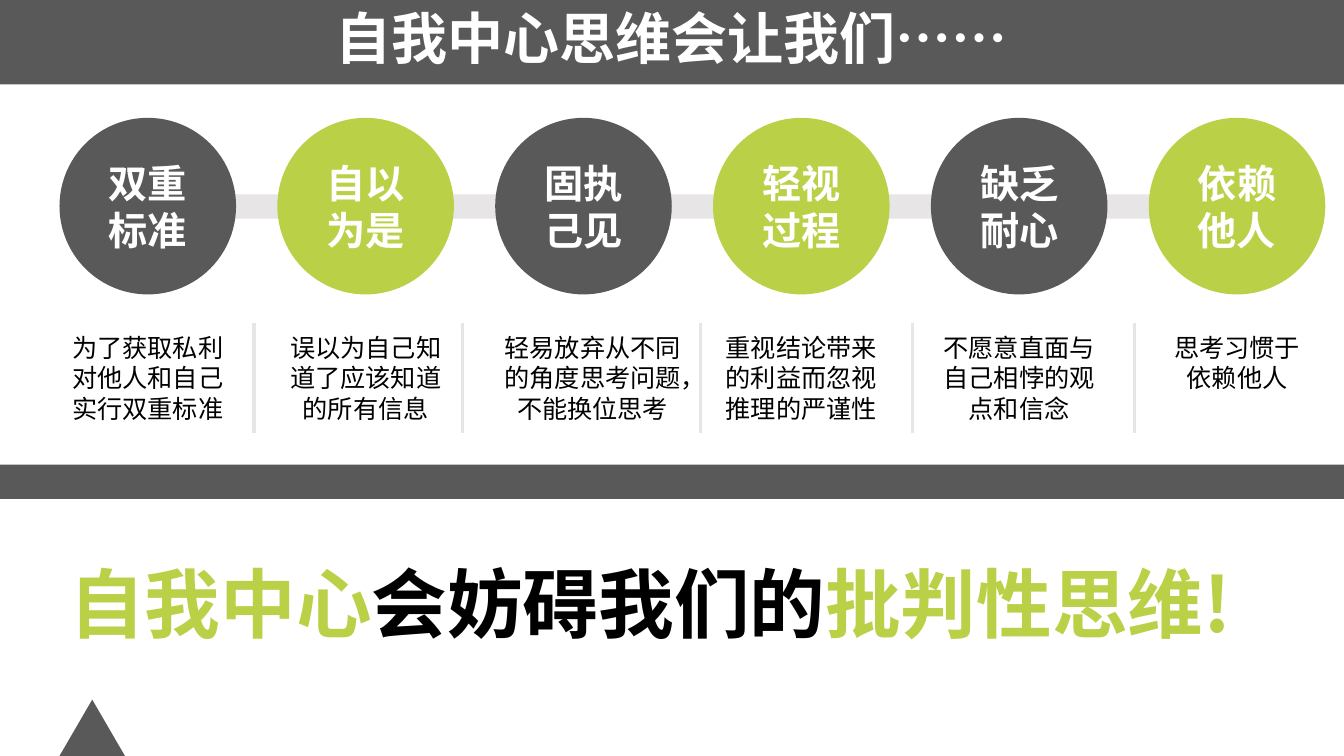
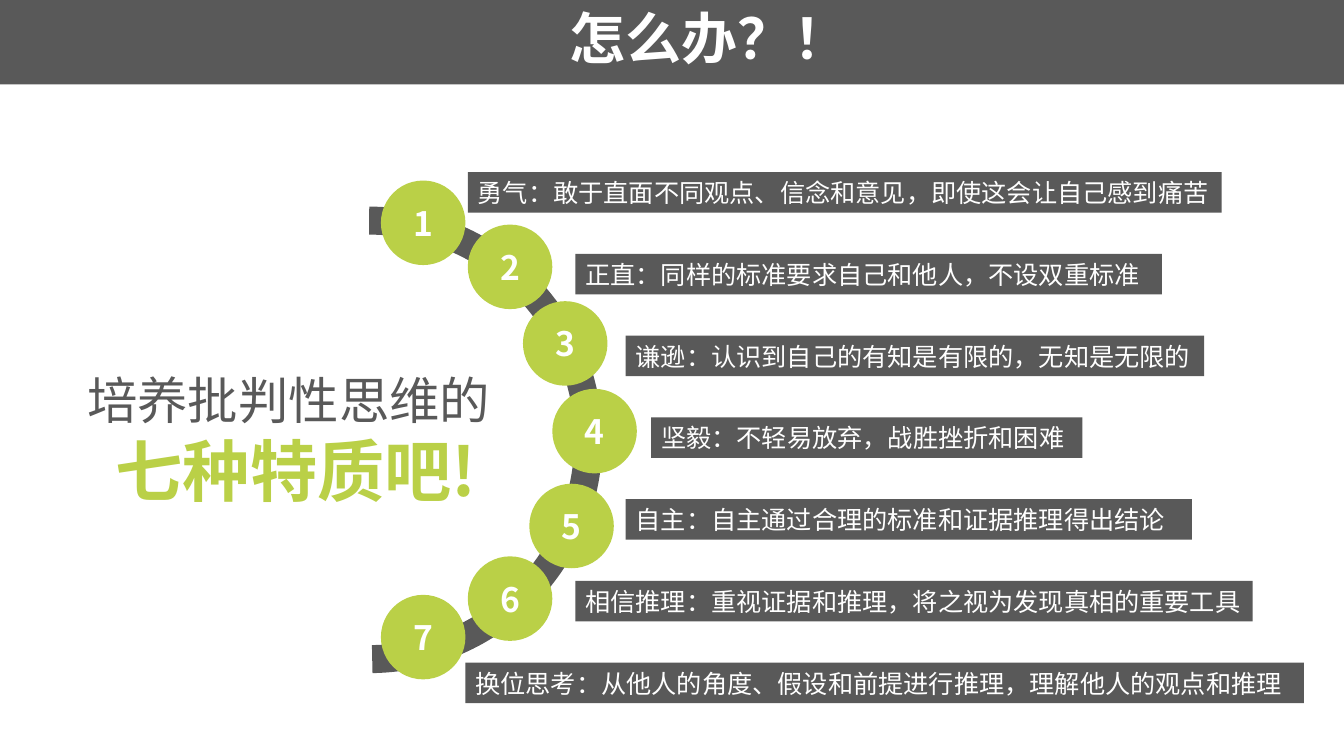
from dataclasses import dataclass
from typing import Optional

from lxml.etree import SubElement
from pptx import Presentation
from pptx.dml.color import RGBColor
from pptx.enum.shapes import MSO_CONNECTOR, MSO_SHAPE
from pptx.enum.text import MSO_ANCHOR, PP_ALIGN
from pptx.oxml.ns import qn
from pptx.shapes.autoshape import Shape
from pptx.slide import Slide
from pptx.text.text import TextFrame
from pptx.util import Cm, Pt


@dataclass(frozen=True)
class Theme:
    font: str = "Noto Sans CJK SC"
    dark: RGBColor = RGBColor(0x59, 0x59, 0x59)
    green: RGBColor = RGBColor(0xBA, 0xD0, 0x47)
    pale: RGBColor = RGBColor(0xE7, 0xE5, 0xE6)
    white: RGBColor = RGBColor(0xFF, 0xFF, 0xFF)
    black: RGBColor = RGBColor(0, 0, 0)
    body: int = 18
    number: int = 24
    circle: int = 28
    lead: int = 36
    title: int = 40
    emphasis: int = 48
    conclusion: int = 54


THEME = Theme()
SLIDE_WIDTH = 33.87
SLIDE_HEIGHT = 19.05


@dataclass(frozen=True)
class Box:
    left: float
    top: float
    width: float
    height: float

    def lengths(self) -> tuple[Cm, Cm, Cm, Cm]:
        return Cm(self.left), Cm(self.top), Cm(self.width), Cm(self.height)


@dataclass(frozen=True)
class TextStyle:
    size: int
    color: RGBColor
    bold: bool = False
    align: PP_ALIGN = PP_ALIGN.CENTER
    indent: float = 0
    line_spacing: Optional[float] = None


@dataclass(frozen=True)
class Span:
    text: str
    color: Optional[RGBColor] = None


@dataclass(frozen=True)
class Line:
    spans: list[Span]
    style: TextStyle


@dataclass(frozen=True)
class Effect:
    name: str
    caption: str
    caption_width: float
    caption_shift: float = 0
    divider: Optional[float] = None


@dataclass(frozen=True)
class Trait:
    text: str
    circle_left: float
    circle_top: float
    bar_left: float
    bar_width: float


EFFECTS = [
    Effect("双重标准", "为了获取私利对他人和自己实行双重标准", 4.45, divider=6.4),
    Effect("自以为是", "误以为自己知道了应该知道的所有信息", 4.6, divider=11.66),
    Effect("固执己见", "轻易放弃从不同的角度思考问题，不能换位思考", 5.23, 0.23, 17.65),
    Effect("轻视过程", "重视结论带来的利益而忽视推理的严谨性", 4.67, divider=22.99),
    Effect("缺乏耐心", "不愿意直面与自己相悖的观点和信念", 4.52, divider=28.6),
    Effect("依赖他人", "思考习惯于依赖他人", 3.84),
]

TRAITS = [
    Trait("勇气：敢于直面不同观点、信念和意见，即使这会让自己感到痛苦", 9.6, 4.55, 11.79, 19),
    Trait("正直：同样的标准要求自己和他人，不设双重标准", 11.79, 5.66, 14.5, 14.78),
    Trait("谦逊：认识到自己的有知是有限的，无知是无限的", 13.18, 7.59, 15.77, 14.58),
    Trait("坚毅：不轻易放弃，战胜挫折和困难", 13.92, 9.8, 16.41, 10.87),
    Trait("自主：自主通过合理的标准和证据推理得出结论", 13.34, 12.19, 15.77, 14.27),
    Trait("相信推理：重视证据和推理，将之视为发现真相的重要工具", 11.79, 14.02, 14.5, 17.07),
    Trait("换位思考：从他人的角度、假设和前提进行推理，理解他人的观点和推理", 9.6, 14.99, 11.73, 21.13),
]


def write_lines(frame: TextFrame, lines: list[Line], anchor: MSO_ANCHOR) -> None:
    frame.word_wrap = True
    frame.vertical_anchor = anchor
    for index, line in enumerate(lines):
        paragraph = frame.add_paragraph() if index else frame.paragraphs[0]
        style = line.style
        paragraph.alignment = style.align
        if style.line_spacing:
            paragraph.line_spacing = style.line_spacing
        properties = paragraph._p.get_or_add_pPr()
        if style.indent:
            properties.set("marL", str(int(Cm(style.indent))))
            properties.set("indent", "0")
        paragraph.font.size = Pt(style.size)
        paragraph.font.bold = style.bold
        paragraph.font.color.rgb = style.color
        paragraph.font.name = THEME.font
        defaults = properties.find(qn("a:defRPr"))
        SubElement(defaults, qn("a:ea")).set("typeface", THEME.font)
        for span in line.spans:
            run = paragraph.add_run()
            run.text = span.text
            if span.color is not None:
                run.font.color.rgb = span.color


def add_text(slide: Slide, box: Box, lines: list[Line],
             anchor: MSO_ANCHOR = MSO_ANCHOR.TOP) -> None:
    text_box = slide.shapes.add_textbox(*box.lengths())
    write_lines(text_box.text_frame, lines, anchor)


def add_solid(slide: Slide, kind: MSO_SHAPE, box: Box, color: RGBColor,
              text: str = "", style: Optional[TextStyle] = None) -> Shape:
    shape = slide.shapes.add_shape(kind, *box.lengths())
    shape.shadow.inherit = False
    shape.fill.solid()
    shape.fill.fore_color.rgb = color
    shape.line.fill.background()
    if style:
        write_lines(shape.text_frame, [Line([Span(text)], style)], MSO_ANCHOR.MIDDLE)
    return shape


def add_divider(slide: Slide, left: float, top: float, bottom: float) -> None:
    divider = slide.shapes.add_connector(
        MSO_CONNECTOR.STRAIGHT, Cm(left), Cm(top), Cm(left), Cm(bottom))
    divider.line.color.rgb = THEME.pale
    divider.line.width = Pt(2.25)
    SubElement(divider._element.spPr, qn("a:effectLst"))


def add_titled_slide(presentation: Presentation, title: str, indent: float = 0) -> Slide:
    slide = presentation.slides.add_slide(presentation.slide_layouts[6])
    add_solid(slide, MSO_SHAPE.RECTANGLE, Box(0, 0, SLIDE_WIDTH, 2.13), THEME.dark)
    style = TextStyle(THEME.title, THEME.white, True, indent=indent, line_spacing=0.9)
    add_text(slide, Box(7.16, 0.13, 19.53, 1.8), [Line([Span(title)], style)],
             MSO_ANCHOR.BOTTOM)
    return slide


def build_effects_slide(presentation: Presentation) -> None:
    slide = add_titled_slide(presentation, "自我中心思维会让我们……")
    margin, diameter, pitch = 1.5, 4.45, 5.49
    add_solid(slide, MSO_SHAPE.ROUNDED_RECTANGLE, Box(3.71, 4.9, 27.94, 0.61), THEME.pale)
    circle_style = TextStyle(THEME.circle, THEME.white, True)
    caption_style = TextStyle(THEME.body, THEME.black)
    for index, effect in enumerate(EFFECTS):
        left = margin + index * pitch
        color = THEME.green if index % 2 else THEME.dark
        add_solid(slide, MSO_SHAPE.OVAL, Box(left, 2.97, diameter, diameter), color,
                  effect.name, circle_style)
        caption_left = left + (diameter - effect.caption_width) / 2 + effect.caption_shift
        add_text(slide, Box(caption_left, 8.25, effect.caption_width, 2.57),
                 [Line([Span(effect.caption)], caption_style)])
        if effect.divider:
            add_divider(slide, effect.divider, 8.13, 10.92)
    conclusion = [Span("自我中心", THEME.green), Span("会妨碍我们的"),
                  Span("批判性思维!", THEME.green)]
    conclusion_style = TextStyle(THEME.conclusion, THEME.black, True, PP_ALIGN.LEFT)
    add_text(slide, Box(margin, 13.92, 31.57, 2.57), [Line(conclusion, conclusion_style)])
    add_solid(slide, MSO_SHAPE.ISOSCELES_TRIANGLE,
              Box(margin, SLIDE_HEIGHT - 1.42, 1.65, 1.42), THEME.dark)
    add_solid(slide, MSO_SHAPE.RECTANGLE, Box(0, 11.71, SLIDE_WIDTH, 0.86), THEME.dark)


def build_traits_slide(presentation: Presentation) -> None:
    slide = add_titled_slide(presentation, "怎么办？！", indent=1.9)
    add_text(slide, Box(0.99, 9.17, 12.57, 3.84), [
        Line([Span("培养批判性思维的")], TextStyle(THEME.lead, THEME.dark)),
        Line([Span("七种特质吧!")],
             TextStyle(THEME.emphasis, THEME.green, True, indent=0.38)),
    ])
    arc = slide.shapes.add_shape(MSO_SHAPE.ARC, *Box(3.78, 5.56, 11.05, 11.05).lengths())
    arc.shadow.inherit = False
    arc.adjustments[0] = 162
    arc.adjustments[1] = 53.52
    arc.fill.background()
    arc.line.color.rgb = THEME.dark
    arc.line.width = Pt(20)
    number_style = TextStyle(THEME.number, THEME.white, True)
    bar_style = TextStyle(THEME.body, THEME.white, align=PP_ALIGN.LEFT)
    for index, trait in enumerate(TRAITS):
        add_solid(slide, MSO_SHAPE.OVAL,
                  Box(trait.circle_left, trait.circle_top, 2.13, 2.13), THEME.green,
                  str(index + 1), number_style)
        add_solid(slide, MSO_SHAPE.RECTANGLE,
                  Box(trait.bar_left, 4.34 + index * 2.06, trait.bar_width, 1.02),
                  THEME.dark, trait.text, bar_style)


def main() -> None:
    presentation = Presentation()
    presentation.slide_width = Cm(SLIDE_WIDTH)
    presentation.slide_height = Cm(SLIDE_HEIGHT)
    build_effects_slide(presentation)
    build_traits_slide(presentation)
    presentation.save("out.pptx")


if __name__ == "__main__":
    main()
